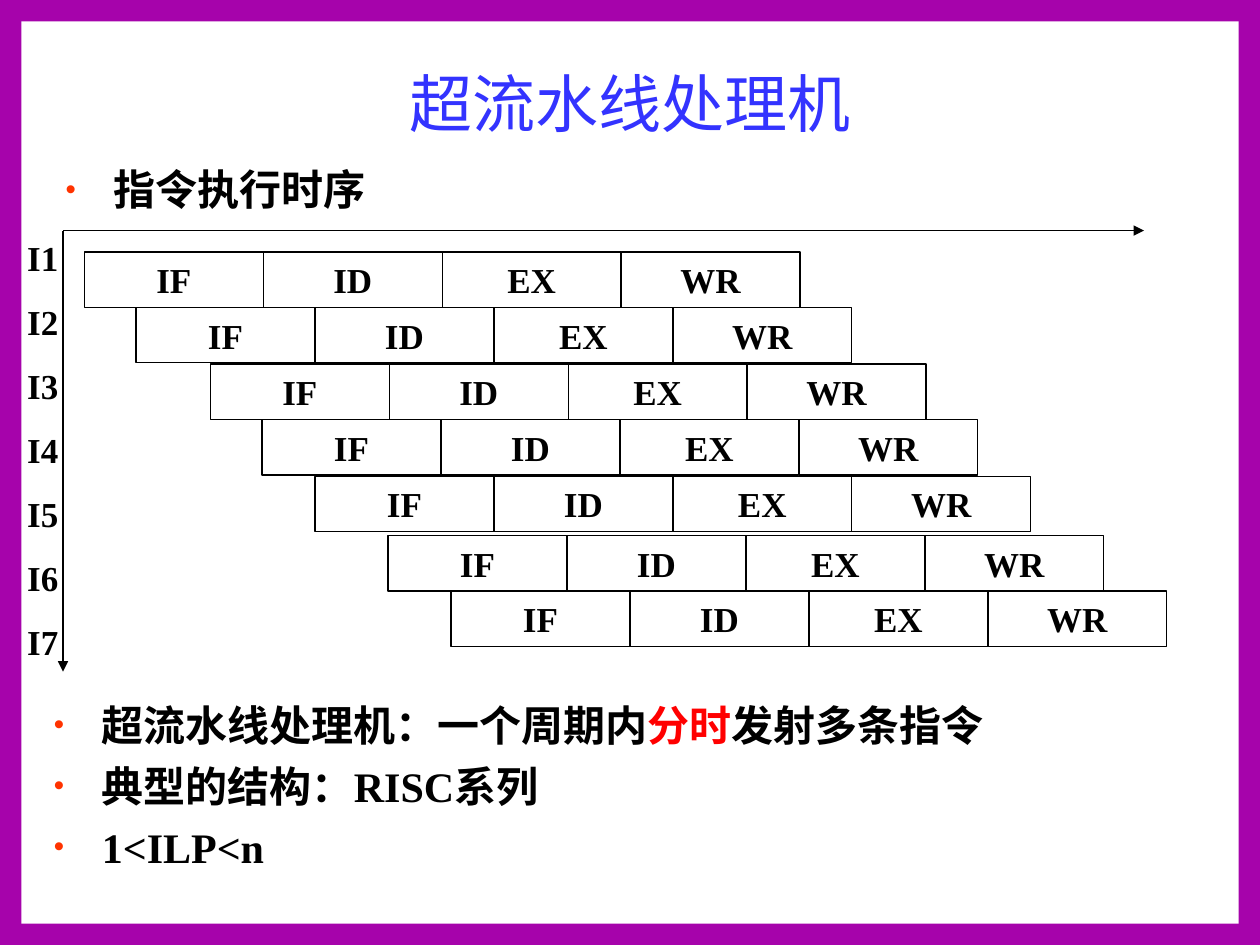
from lxml import etree
from pptx import Presentation
from pptx.dml.color import RGBColor
from pptx.enum.shapes import MSO_CONNECTOR, MSO_SHAPE
from pptx.enum.text import MSO_ANCHOR, MSO_AUTO_SIZE, PP_ALIGN
from pptx.oxml.ns import qn
from pptx.util import Inches, Pt

RECTANGLE = MSO_SHAPE.RECTANGLE
STRAIGHT = MSO_CONNECTOR.STRAIGHT
TOP, MIDDLE, BOTTOM = MSO_ANCHOR.TOP, MSO_ANCHOR.MIDDLE, MSO_ANCHOR.BOTTOM
LEFT, CENTER = PP_ALIGN.LEFT, PP_ALIGN.CENTER
NO_AUTOFIT = MSO_AUTO_SIZE.NONE

BLACK = RGBColor(0x00, 0x00, 0x00)
WHITE = RGBColor(0xFF, 0xFF, 0xFF)
RED = RGBColor(0xFF, 0x00, 0x00)
BLUE = RGBColor(0x33, 0x33, 0xFF)
PURPLE = RGBColor(0xA6, 0x03, 0xAB)
BULLET_COLOR = RGBColor(0xFF, 0x33, 0x00)
TITLE_FONT, BODY_FONT = "Karla", "Times New Roman"

WIDTH, HEIGHT, BORDER = 10, 7.5, 0.17
TITLE = "超流水线处理机"
HEADING = ["指令执行时序"]
STAGES = ["IF", "ID", "EX", "WR"]
INSTRUCTIONS = [
    ("I1", 0.67, 2.0),
    ("I2", 1.08, 2.44),
    ("I3", 1.67, 2.89),
    ("I4", 2.08, 3.33),
    ("I5", 2.5, 3.78),
    ("I6", 3.08, 4.25),
    ("I7", 3.58, 4.69),
]
STAGE_WIDTH, STAGE_HEIGHT = 1.42, 0.44
ORIGIN = (0.5, 1.83)
AXIS_ENDS = [(9.08, 1.83), (0.5, 5.33)]
NOTES = [
    [("超流水线处理机：一个周期内", BLACK), ("分时", RED), ("发射多条指令", BLACK)],
    "典型的结构：RISC系列",
    "1<ILP<n",
]


def place(shape, left, top, width, height):
    shape.left, shape.top = Inches(left), Inches(top)
    shape.width, shape.height = Inches(width), Inches(height)


def add_bullet(paragraph):
    properties = paragraph._p.get_or_add_pPr()
    properties.set("marL", str(Inches(0.38)))
    properties.set("indent", str(-Inches(0.38)))
    color = etree.SubElement(properties, qn("a:buClr"))
    etree.SubElement(color, qn("a:srgbClr"), val=str(BULLET_COLOR))
    etree.SubElement(properties, qn("a:buSzPct"), val="70000")
    etree.SubElement(properties, qn("a:buFont"), typeface="Arial")
    etree.SubElement(properties, qn("a:buChar"), char="•")


def write_text(shape, lines, size=24, font=BODY_FONT, color=BLACK, bold=True,
               align=LEFT, anchor=TOP, gap=0, bullet=False):
    frame = shape.text_frame
    frame.word_wrap = True
    frame.auto_size = NO_AUTOFIT
    frame.vertical_anchor = anchor
    for index, line in enumerate(lines):
        paragraph = frame.add_paragraph() if index else frame.paragraphs[0]
        if bullet:
            add_bullet(paragraph)
        paragraph.alignment = align
        paragraph.space_before = Pt(gap if index else 0)
        runs = [(line, color)] if isinstance(line, str) else line
        for text, run_color in runs:
            run = paragraph.add_run()
            run.text = text
            run.font.name = font
            run.font.size = Pt(size)
            run.font.bold = bold
            run.font.color.rgb = run_color


def add_box(slide, left, top, width, height, fill=None, line=None):
    shape = slide.shapes.add_shape(
        RECTANGLE, Inches(left), Inches(top), Inches(width), Inches(height))
    shape.shadow.inherit = False
    if fill is None:
        shape.fill.background()
    else:
        shape.fill.solid()
        shape.fill.fore_color.rgb = fill
    if line is None:
        shape.line.fill.background()
    else:
        shape.line.color.rgb = line
        shape.line.width = Pt(0.75)
    return shape


def add_arrow(slide, start, end):
    points = [Inches(value) for value in (*start, *end)]
    arrow = slide.shapes.add_connector(STRAIGHT, *points)
    arrow.line.color.rgb = BLACK
    arrow.line.width = Pt(0.75)
    etree.SubElement(arrow.line._get_or_add_ln(), qn("a:tailEnd"), type="triangle")
    etree.SubElement(arrow._element.spPr, qn("a:effectLst"))


def main():
    presentation = Presentation()
    presentation.slide_width = Inches(WIDTH)
    presentation.slide_height = Inches(HEIGHT)
    slide = presentation.slides.add_slide(presentation.slide_layouts[1])

    for top in (0, HEIGHT - BORDER):
        add_box(slide, 0, top, WIDTH, BORDER, fill=PURPLE)
    for left in (0, WIDTH - BORDER):
        add_box(slide, left, 0, BORDER, HEIGHT, fill=PURPLE)

    title = slide.shapes.title
    place(title, 0.5, 0.33, 9, 0.83)
    write_text(title, [TITLE], size=36, font=TITLE_FONT, color=BLUE, bold=False,
               align=CENTER, anchor=BOTTOM)
    heading = slide.placeholders[1]
    place(heading, 0.42, 1.25, 9.08, 0.5)
    write_text(heading, HEADING, bullet=True)

    for _, start, top in INSTRUCTIONS:
        for column, stage in enumerate(STAGES):
            cell = add_box(slide, start + column * STAGE_WIDTH, top,
                           STAGE_WIDTH, STAGE_HEIGHT, line=BLACK)
            write_text(cell, [stage], size=20, align=CENTER, anchor=MIDDLE)

    for end in AXIS_ENDS:
        add_arrow(slide, ORIGIN, end)

    labels = slide.shapes.add_textbox(
        Inches(0.08), Inches(1.83), Inches(0.52), Inches(3.48))
    write_text(labels, [name for name, _, _ in INSTRUCTIONS], size=20,
               align=CENTER, gap=12.5)

    notes = add_box(slide, 0.33, 5.5, 9.25, 1.58, fill=WHITE)
    write_text(notes, NOTES, gap=6, bullet=True)

    presentation.save("out.pptx")


if __name__ == "__main__":
    main()
